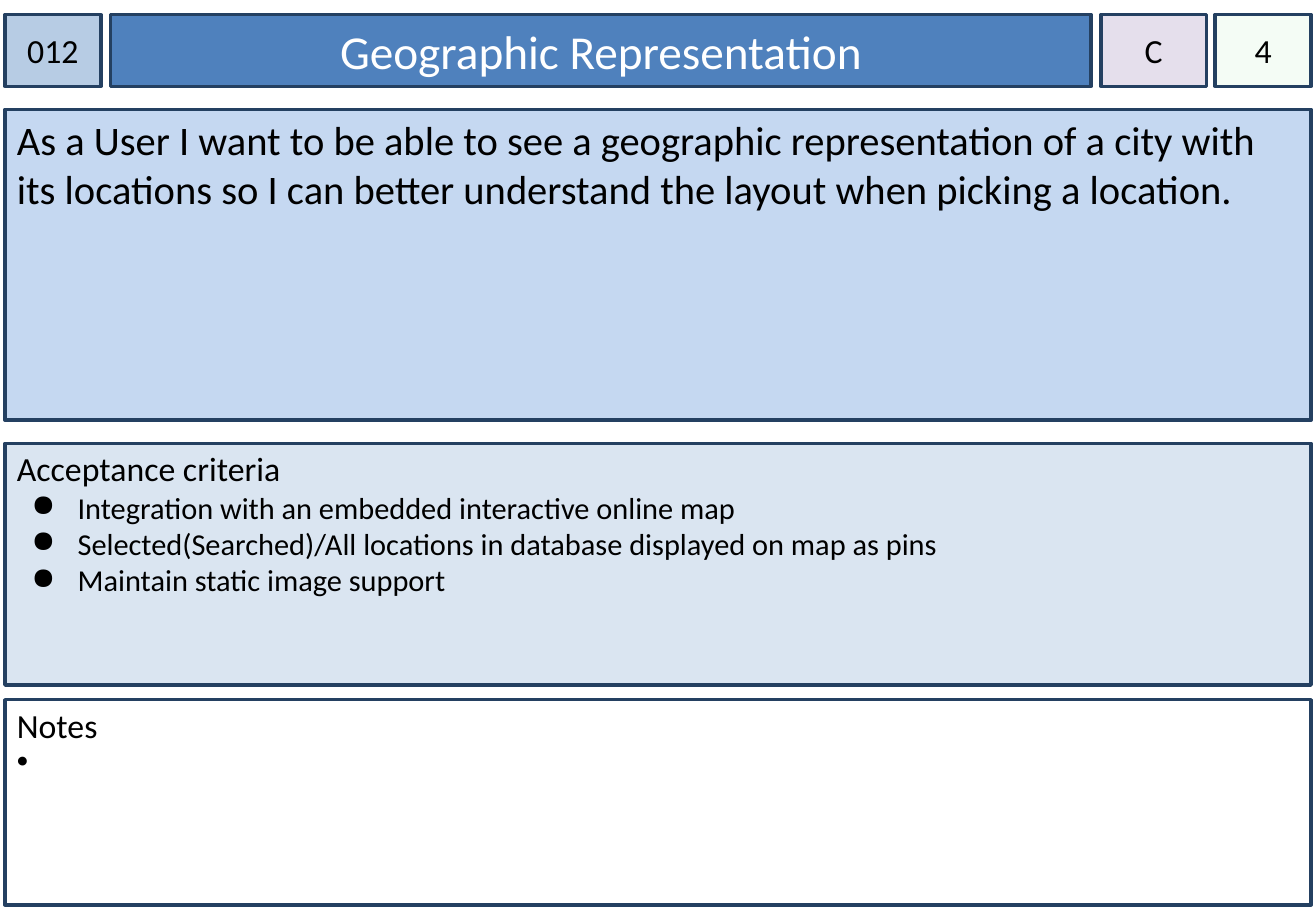
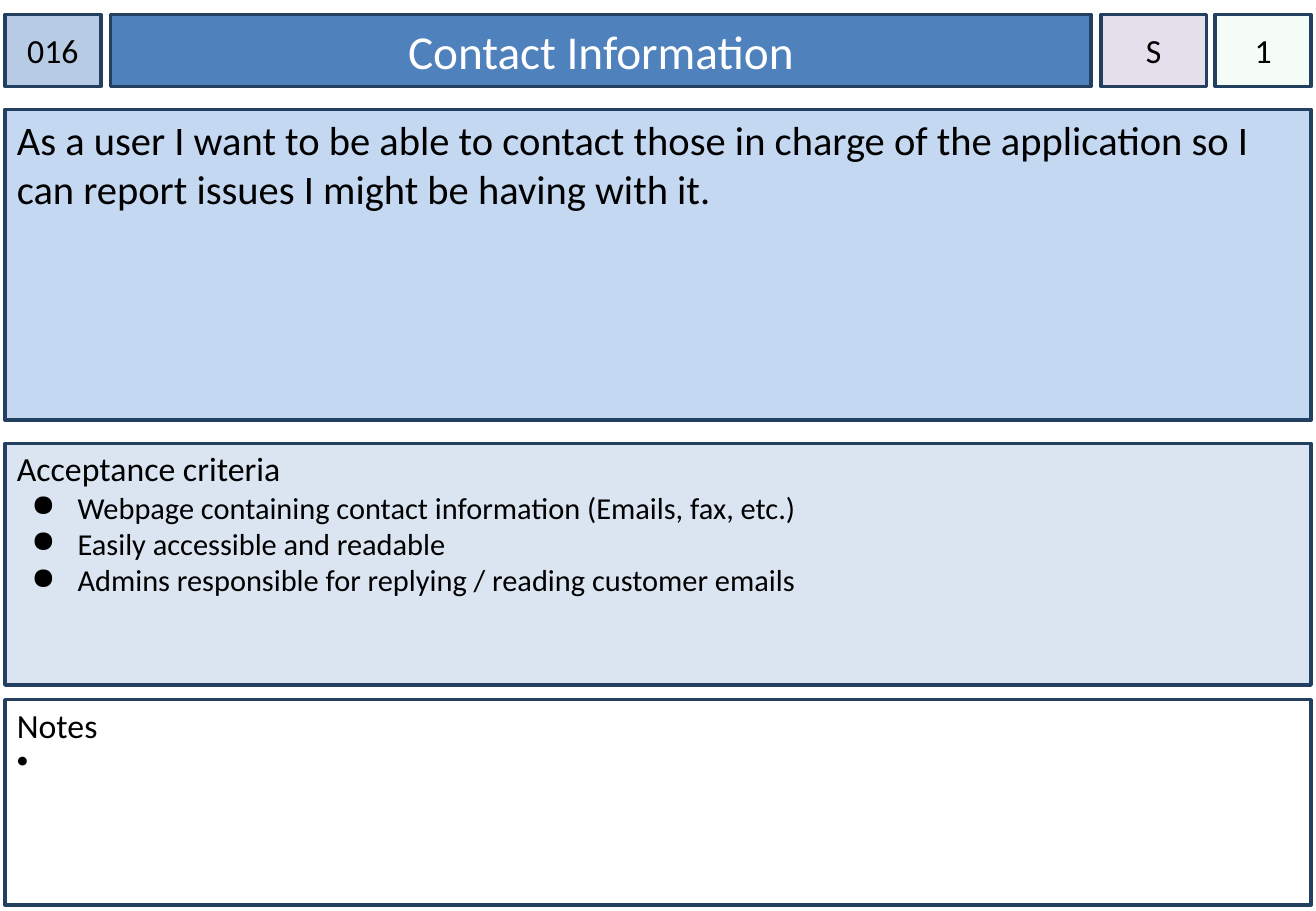
from lxml.etree import SubElement
from pptx import Presentation
from pptx.dml.color import RGBColor
from pptx.enum.shapes import MSO_SHAPE
from pptx.enum.text import MSO_ANCHOR, PP_ALIGN
from pptx.oxml.ns import qn
from pptx.util import Inches, Pt

FONT = "Calibri"
BLACK, WHITE, NAVY = "000000", "FFFFFF", "244061"
NUMBER_FILL, TITLE_FILL = "B7CCE4", "4F81BD"
PRIORITY_FILL, ESTIMATE_FILL = "E5DFEC", "CCF0CD"
STORY_FILL, CRITERIA_FILL = "C5D8F1", "DAE5F1"
EDGE, FULL_WIDTH = 0.04, 10.75
HEADER_TOP, HEADER_HEIGHT = 0.12, 0.59

STORIES = [
    {
        "number": "012",
        "title": "Geographic Representation",
        "priority": "C",
        "estimate": "4",
        "story": "As a User I want to be able to see a geographic representation of a city "
                 "with its locations so I can better understand the layout when picking a location.",
        "criteria": [
            "Integration with an embedded interactive online map",
            "Selected(Searched)/All locations in database displayed on map as pins",
            "Maintain static image support",
        ],
    },
    {
        "number": "016",
        "title": "Contact Information",
        "priority": "S",
        "estimate": "1",
        "story": "As a user I want to be able to contact those in charge of the application "
                 "so I can report issues I might be having with it.",
        "criteria": [
            "Webpage containing contact information (Emails, fax, etc.)",
            "Easily accessible and readable",
            "Admins responsible for replying / reading customer emails",
        ],
    },
]


def color(hex_code):
    """Turn a hex string into a colour."""
    return RGBColor.from_string(hex_code)


def add_panel(slide, left, top, width, height, fill, side_inset=0.1, top_inset=0.05):
    """Add a bordered rectangle and return it."""
    panel = slide.shapes.add_shape(
        MSO_SHAPE.RECTANGLE, Inches(left), Inches(top), Inches(width), Inches(height))
    panel.shadow.inherit = False
    panel.fill.solid()
    panel.fill.fore_color.rgb = color(fill)
    panel.line.color.rgb = color(NAVY)
    panel.line.width = Pt(2)
    frame = panel.text_frame
    frame.word_wrap = True
    frame.vertical_anchor = MSO_ANCHOR.TOP
    frame.margin_left = frame.margin_right = Inches(side_inset)
    frame.margin_top, frame.margin_bottom = Inches(top_inset), Inches(0.05)
    return panel


def write(paragraph, text, size, text_color=BLACK, align=PP_ALIGN.LEFT):
    """Fill a paragraph with text in one style."""
    paragraph.text = text
    paragraph.alignment = align
    paragraph.font.name = FONT
    paragraph.font.size = Pt(size)
    paragraph.font.color.rgb = color(text_color)


def add_bullet(frame, text, size, mark, indent, hanging):
    """Append a paragraph with a hanging bullet."""
    paragraph = frame.add_paragraph()
    properties = paragraph._p.get_or_add_pPr()
    properties.set("marL", str(Inches(indent)))
    properties.set("indent", str(-Inches(hanging)))
    mark_color = SubElement(properties, qn("a:buClr"))
    SubElement(mark_color, qn("a:srgbClr"), val=BLACK)
    SubElement(properties, qn("a:buChar"), char=mark)
    write(paragraph, text, size)


def add_header_cell(slide, left, width, fill, text, size=20, text_color=BLACK, side_inset=0):
    """Add one centred cell of the header row and return it."""
    cell = add_panel(slide, left, HEADER_TOP, width, HEADER_HEIGHT, fill, side_inset)
    cell.text_frame.vertical_anchor = MSO_ANCHOR.MIDDLE
    write(cell.text_frame.paragraphs[0], text, size, text_color, PP_ALIGN.CENTER)
    return cell


def add_section(slide, top, height, fill, text, size=20, top_inset=0.04):
    """Add a full-width panel with opening text and return its text frame."""
    frame = add_panel(slide, EDGE, top, FULL_WIDTH, height, fill,
                      top_inset=top_inset).text_frame
    write(frame.paragraphs[0], text, size)
    return frame


def set_opacity(shape, percent):
    """Make the solid fill of a shape partly transparent."""
    fill_color = shape.fill._xPr.find(qn("a:solidFill"))[0]
    SubElement(fill_color, qn("a:alpha"), val=str(percent * 1000))


def add_story_card(deck, card):
    """Add one slide holding a user story card."""
    slide = deck.slides.add_slide(deck.slide_layouts[6])
    add_header_cell(slide, EDGE, 0.79, NUMBER_FILL, card["number"])
    add_header_cell(slide, 0.91, 8.07, TITLE_FILL, card["title"], 28, WHITE, 0.1)
    add_section(slide, 0.9, 2.56, STORY_FILL, card["story"], 24, 0.05)
    criteria = add_section(slide, 3.65, 1.99, CRITERIA_FILL, "Acceptance criteria")
    for criterion in card["criteria"]:
        add_bullet(criteria, criterion, 18, "●", 0.5, 0.38)
    estimate = add_header_cell(slide, 10, 0.79, ESTIMATE_FILL, card["estimate"])
    set_opacity(estimate, 20)
    add_header_cell(slide, 9.06, 0.87, PRIORITY_FILL, card["priority"])
    notes = add_section(slide, 5.76, 1.69, WHITE, "Notes")
    add_bullet(notes, " ", 20, "•", 0.2, 0.2)


def main():
    """Build and save the story cards."""
    deck = Presentation()
    deck.slide_width, deck.slide_height = Inches(10.83), Inches(7.5)
    for card in STORIES:
        add_story_card(deck, card)
    deck.save("out.pptx")


if __name__ == "__main__":
    main()
